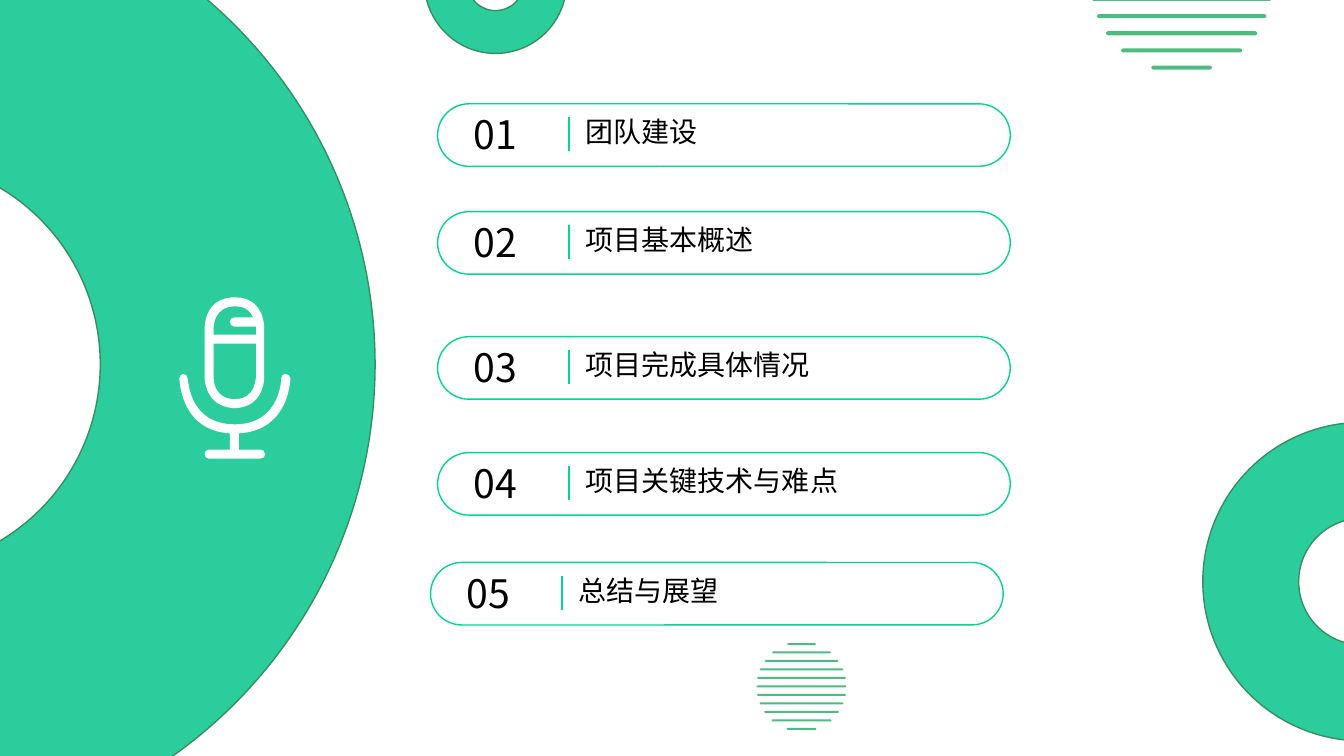
from dataclasses import dataclass

import pptx
import pptx.dml.color
import pptx.enum.shapes
import pptx.enum.text
import pptx.oxml.ns
import pptx.shapes.autoshape
import pptx.util
from lxml import etree
from pptx.util import Inches

RGBColor = pptx.dml.color.RGBColor
ShapeType = pptx.enum.shapes.MSO_SHAPE
qn = pptx.oxml.ns.qn

WHITE = RGBColor(0xFF, 0xFF, 0xFF)
BLACK = RGBColor(0x00, 0x00, 0x00)
RING_GREEN = RGBColor(0x00, 0xC3, 0x89)
RING_EDGE = RGBColor(0x35, 0x90, 0x5F)
STRIPE_GREEN = RGBColor(0x4C, 0xBC, 0x80)
PILL_GREEN = RGBColor(0x00, 0xD7, 0x8F)
FONT = "Noto Sans CJK SC"

# A contour is a start point, then lines (x, y) and curves (x1, y1, x2, y2, x, y).
Contour = list[tuple[float, ...]]


@dataclass
class Ring:
    left: float
    top: float
    size: float
    thickness: float


@dataclass
class StripedDisc:
    center_x: float
    center_y: float
    scale: float


@dataclass
class AgendaItem:
    number: str
    heading: str
    left: float
    top: float
    heading_width: float


RINGS = [
    Ring(-5.81, -1.15, 9.53, 0.286),
    Ring(4.21, -0.88, 1.41, 0.301),
    Ring(11.93, 4.19, 3.16, 0.301),
]
STRIPE_HALF_WIDTHS = [0.29, 0.59, 0.74, 0.84, 0.89, 0.9, 0.89, 0.84, 0.75, 0.6, 0.3]
STRIPE_PITCH = 0.17
STRIPE_HALF_HEIGHT = 0.02
DISCS = [StripedDisc(11.72, -0.18, 1), StripedDisc(7.95, 6.81, 0.495)]
AGENDA = [
    AgendaItem("01", "团队建设", 4.34, 1.03, 1.33),
    AgendaItem("02", "项目基本概述", 4.34, 2.1, 2.25),
    AgendaItem("05", "总结与展望", 4.27, 5.58, 1.94),
    AgendaItem("04", "项目关键技术与难点", 4.34, 4.49, 3.39),
    AgendaItem("03", "项目完成具体情况", 4.34, 3.34, 2.69),
]

MICROPHONE_HEAD: list[Contour] = [
    [(2.33, 4.05), (2.62, 4.04, 2.62, 3.75, 2.62, 3.75), (2.62, 3.25),
     (2.62, 3.24, 2.62, 2.95, 2.33, 2.95), (2.03, 2.95, 2.03, 3.24, 2.03, 3.25),
     (2.03, 3.75), (2.03, 3.75, 2.03, 4.04, 2.33, 4.05)],
    [(2.12, 3.25), (2.12, 3.24, 2.12, 3.04, 2.33, 3.04),
     (2.44, 3.04, 2.49, 3.09, 2.51, 3.15), (2.32, 3.15),
     (2.3, 3.15, 2.28, 3.17, 2.28, 3.19), (2.28, 3.22, 2.3, 3.24, 2.32, 3.24),
     (2.54, 3.24), (2.54, 3.32), (2.12, 3.32), (2.12, 3.25)],
    [(2.12, 3.41), (2.54, 3.41), (2.54, 3.75), (2.53, 3.75, 2.54, 3.96, 2.33, 3.96),
     (2.11, 3.96, 2.12, 3.75, 2.12, 3.75), (2.12, 3.41)],
]
MICROPHONE_STAND: list[Contour] = [
    [(2.88, 3.75), (2.88, 3.73, 2.86, 3.71, 2.83, 3.71),
     (2.81, 3.71, 2.79, 3.73, 2.79, 3.75), (2.79, 3.75, 2.79, 4.21, 2.33, 4.21),
     (1.86, 4.21, 1.87, 3.75, 1.86, 3.75), (1.86, 3.73, 1.84, 3.71, 1.82, 3.71),
     (1.8, 3.71, 1.78, 3.73, 1.78, 3.75), (1.78, 3.75, 1.78, 4.27, 2.28, 4.3),
     (2.28, 4.46), (2.07, 4.46), (2.05, 4.46, 2.03, 4.48, 2.03, 4.51),
     (2.03, 4.53, 2.05, 4.55, 2.07, 4.55), (2.58, 4.55),
     (2.61, 4.55, 2.63, 4.53, 2.63, 4.51), (2.63, 4.48, 2.61, 4.46, 2.58, 4.46),
     (2.37, 4.46), (2.37, 4.3), (2.88, 4.27, 2.88, 3.75, 2.88, 3.75)],
]


def paint(shape: pptx.shapes.autoshape.Shape, fill: RGBColor, *, opacity: int = 100,
          line: RGBColor | None = None) -> None:
    shape.shadow.inherit = False
    shape.fill.solid()
    shape.fill.fore_color.rgb = fill
    if opacity < 100:
        color = shape._element.spPr.find(qn("a:solidFill"))[0]
        etree.SubElement(color, qn("a:alpha"), val=str(opacity * 1000))
    if line is None:
        shape.line.fill.background()
    else:
        shape.line.color.rgb = line
        shape.line.width = pptx.util.Pt(1)


def bend_segments(shape: pptx.shapes.autoshape.Shape, contours: list[Contour]) -> None:
    """Turn the freeform's straight segments into cubic curves where a contour has them."""
    segments = [segment for contour in contours for segment in contour[1:]]
    straight_lines = list(shape._element.spPr.iter(qn("a:lnTo")))
    for straight_line, segment in zip(straight_lines, segments):
        if len(segment) == 2:
            continue
        curve = etree.Element(qn("a:cubicBezTo"))
        for x, y in zip(segment[::2], segment[1::2]):
            etree.SubElement(curve, qn("a:pt"), x=str(Inches(x) - shape.left),
                             y=str(Inches(y) - shape.top))
        straight_line.getparent().replace(straight_line, curve)


def draw_outline(shapes, contours: list[Contour], fill: RGBColor) -> None:
    builder = None
    for contour in contours:
        first, *rest = [(Inches(segment[-2]), Inches(segment[-1])) for segment in contour]
        if builder is None:
            builder = shapes.build_freeform(*first)
        else:
            builder.move_to(*first)
        builder.add_line_segments(rest, close=True)
    shape = builder.convert_to_shape()
    bend_segments(shape, contours)
    paint(shape, fill)


def draw_ring(shapes, ring: Ring) -> None:
    shape = shapes.add_shape(ShapeType.DONUT, Inches(ring.left), Inches(ring.top),
                             Inches(ring.size), Inches(ring.size))
    shape.adjustments[0] = ring.thickness
    paint(shape, RING_GREEN, opacity=83, line=RING_EDGE)


def draw_striped_disc(shapes, disc: StripedDisc) -> None:
    radius = STRIPE_HALF_HEIGHT * disc.scale
    handle = radius * 0.55
    stripes: list[Contour] = []
    for row, half_width in enumerate(STRIPE_HALF_WIDTHS):
        y = disc.center_y + (row - len(STRIPE_HALF_WIDTHS) // 2) * STRIPE_PITCH * disc.scale
        reach = half_width * disc.scale - radius
        left, right = disc.center_x - reach, disc.center_x + reach
        top, bottom = y - radius, y + radius
        start, end = left - radius, right + radius
        stripes.append([
            (right, bottom), (left, bottom),
            (left - handle, bottom, start, y + handle, start, y),
            (start, y - handle, left - handle, top, left, top),
            (right, top),
            (right + handle, top, end, y - handle, end, y),
            (end, y + handle, right + handle, bottom, right, bottom),
        ])
    draw_outline(shapes, stripes, STRIPE_GREEN)


def add_text(shapes, text: str, *, left: float, top: float, width: float, height: float,
             size: int) -> None:
    box = shapes.add_textbox(Inches(left), Inches(top), Inches(width), Inches(height))
    box.text_frame.word_wrap = True
    box.text_frame.auto_size = pptx.enum.text.MSO_AUTO_SIZE.SHAPE_TO_FIT_TEXT
    run = box.text_frame.paragraphs[0].add_run()
    run.text = text
    run.font.size = pptx.util.Pt(size)
    run.font.name = FONT
    run.font.color.rgb = BLACK
    etree.SubElement(run._r.rPr, qn("a:ea"), typeface=FONT)


def draw_agenda_item(slide_shapes, item: AgendaItem) -> None:
    shapes = slide_shapes.add_group_shape().shapes
    pill = shapes.add_shape(ShapeType.ROUNDED_RECTANGLE, Inches(item.left), Inches(item.top),
                            Inches(5.68), Inches(0.62))
    pill.adjustments[0] = 0.5
    paint(pill, WHITE, line=PILL_GREEN)
    add_text(shapes, item.heading, left=item.left + 1.37, top=item.top + 0.06,
             width=item.heading_width, height=0.44, size=20)
    add_text(shapes, item.number, left=item.left + 0.26, top=item.top + 0.02,
             width=0.73, height=0.57, size=28)
    divider_x = Inches(item.left + 1.3)
    divider = shapes.add_connector(pptx.enum.shapes.MSO_CONNECTOR.STRAIGHT,
                                   divider_x, Inches(item.top + 0.13),
                                   divider_x, Inches(item.top + 0.47))
    divider.line.color.rgb = PILL_GREEN
    divider.line.width = pptx.util.Pt(1.5)
    etree.SubElement(divider._element.spPr, qn("a:effectLst"))


def main() -> None:
    presentation = pptx.Presentation()
    presentation.slide_width = Inches(13.33)
    presentation.slide_height = Inches(7.5)
    slide = presentation.slides.add_slide(presentation.slide_layouts[6])
    backdrop = slide.shapes.add_shape(ShapeType.RECTANGLE, 0, 0, presentation.slide_width,
                                      presentation.slide_height)
    paint(backdrop, WHITE, opacity=62)
    for ring in RINGS:
        draw_ring(slide.shapes, ring)
    microphone = slide.shapes.add_group_shape()
    for contours in (MICROPHONE_HEAD, MICROPHONE_STAND):
        draw_outline(microphone.shapes, contours, WHITE)
    for disc in DISCS:
        draw_striped_disc(slide.shapes, disc)
    for item in AGENDA:
        draw_agenda_item(slide.shapes, item)
    presentation.save("out.pptx")


if __name__ == "__main__":
    main()
